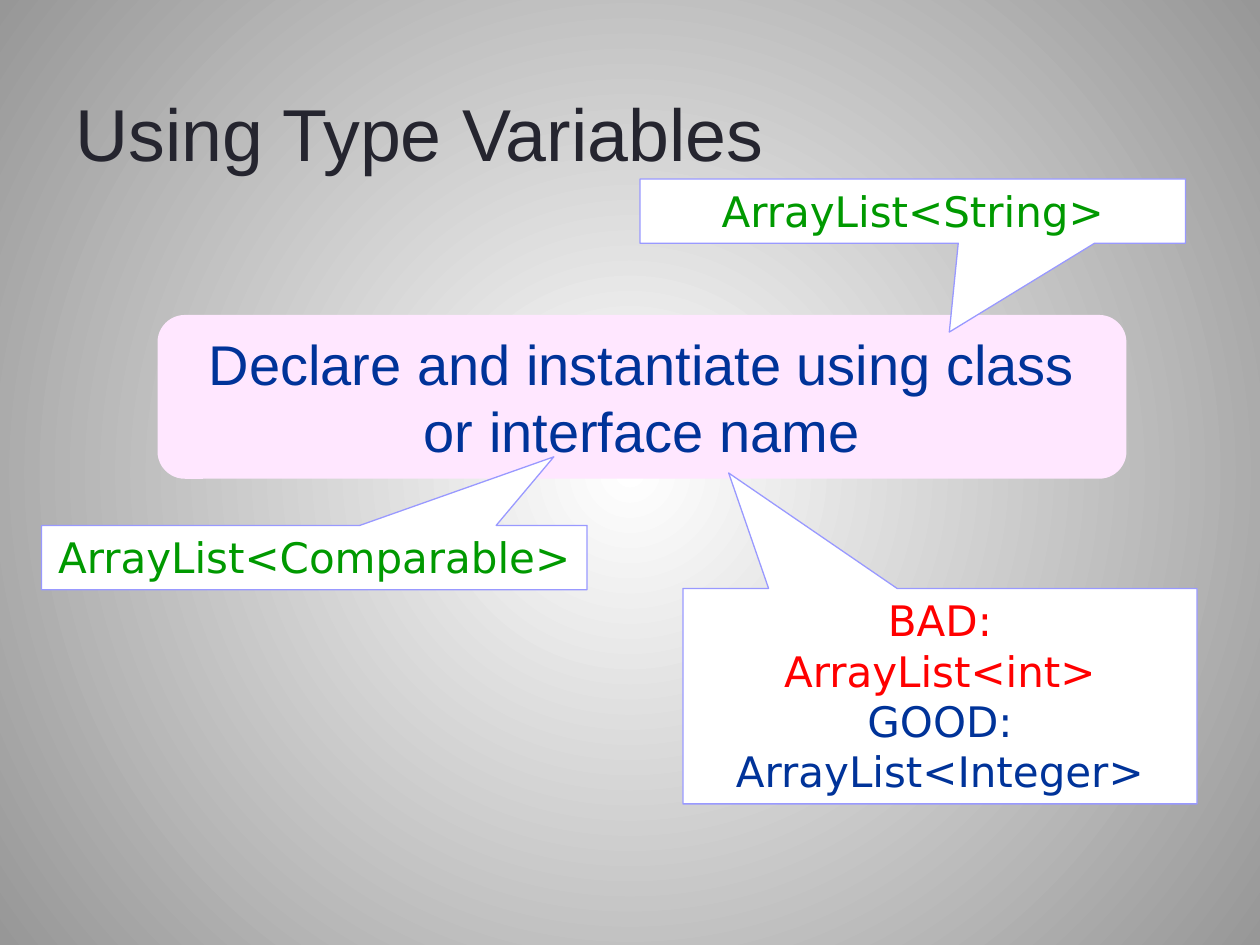
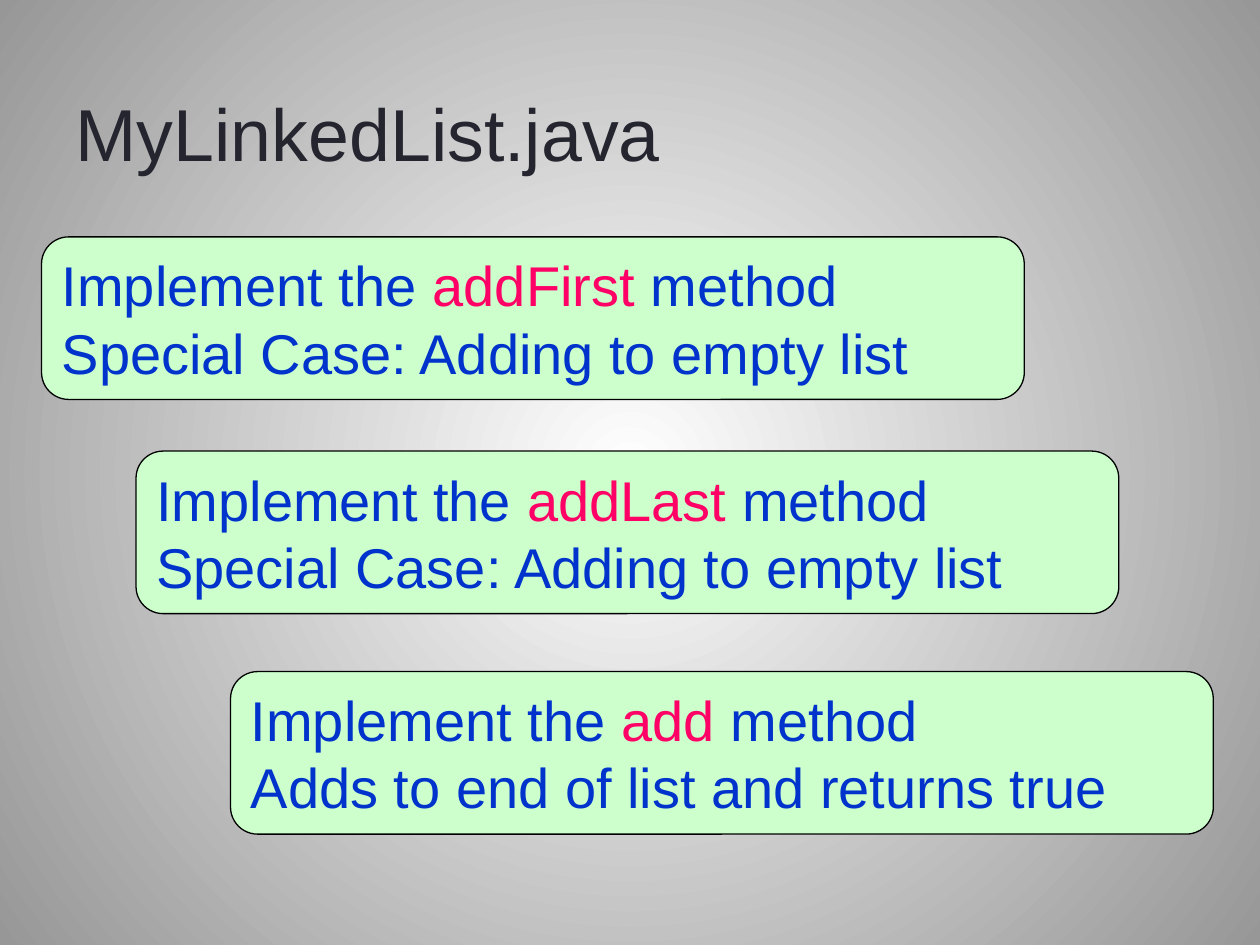
from lxml import etree
from pptx import Presentation
from pptx.dml.color import RGBColor
from pptx.enum.shapes import MSO_SHAPE
from pptx.enum.text import MSO_ANCHOR, MSO_AUTO_SIZE, PP_ALIGN
from pptx.oxml.ns import qn
from pptx.util import Inches, Pt

ROUNDED, CALLOUT = MSO_SHAPE.ROUNDED_RECTANGLE, MSO_SHAPE.RECTANGULAR_CALLOUT
TOP, MIDDLE = MSO_ANCHOR.TOP, MSO_ANCHOR.MIDDLE
LEFT, CENTER = PP_ALIGN.LEFT, PP_ALIGN.CENTER
FIT_TEXT, NO_FIT = MSO_AUTO_SIZE.SHAPE_TO_FIT_TEXT, MSO_AUTO_SIZE.NONE

SANS, CODE_FONT = "Arial", "DejaVu Sans"
TITLE_INK, NAVY, BLUE = "25252F", "003399", "0033CC"
GREEN, RED, PINK = "009900", "FF0000", "FF0066"
ROSE, MINT, WHITE = "FFE7FF", "CCFFCC", "FFFFFF"
LILAC, BLACK, GREY = "9999FF", "000000", "979797"

rgb = RGBColor.from_string


def write(shape, lines, size, font=SANS, align=LEFT, anchor=MIDDLE, hanging=0, fit=FIT_TEXT):
    """Fill a shape with lines, each a list of (text, colour) runs."""
    frame = shape.text_frame
    frame.word_wrap = True
    frame.auto_size = fit
    frame.vertical_anchor = anchor
    for index, line in enumerate(lines):
        paragraph = frame.paragraphs[0] if index == 0 else frame.add_paragraph()
        paragraph.alignment = align
        if hanging:
            properties = paragraph._p.get_or_add_pPr()
            properties.set("marL", str(Inches(hanging)))
            properties.set("indent", str(-Inches(hanging)))
        for text, color in line:
            run = paragraph.add_run()
            run.text = text
            run.font.size = Pt(size)
            run.font.name = font
            run.font.color.rgb = rgb(color)


def add_box(slide, kind, box, fill, line=None, adjustments=()):
    shape = slide.shapes.add_shape(kind, *map(Inches, box))
    shape.shadow.inherit = False
    shape.fill.solid()
    shape.fill.fore_color.rgb = rgb(fill)
    if line:
        shape.line.color.rgb = rgb(line)
        shape.line.width = Pt(0.75)
    else:
        shape.line.fill.background()
    for index, value in enumerate(adjustments):
        shape.adjustments[index] = value
    return shape


prs = Presentation()
prs.slide_width, prs.slide_height = Inches(10), Inches(7.5)

# Shared background: white centre fading to grey
master = prs.slide_master
backdrop = master.background.fill
backdrop.gradient()
for stop, position, color in zip(backdrop.gradient_stops, (0, 1), (WHITE, GREY)):
    stop.position = position
    stop.color.rgb = rgb(color)
gradient = master.element.find(".//" + qn("a:gradFill"))
gradient.remove(gradient.find(qn("a:lin")))
radial = etree.SubElement(gradient, qn("a:path"), path="circle")
etree.SubElement(radial, qn("a:fillToRect"), l="50000", t="50000", r="50000", b="50000")

# Shared title style
slides = []
for heading in ("Using Type Variables", "MyLinkedList.java"):
    slide = prs.slides.add_slide(prs.slide_layouts[5])
    title = slide.shapes.title
    title.left, title.top = Inches(0.5), Inches(0.21)
    title.width, title.height = Inches(8.83), Inches(1.67)
    write(title, [[(heading, TITLE_INK)]], 42, fit=NO_FIT)
    slides.append(slide)
type_variables, linked_list = slides

# Slide 1: the rule and its example callouts
rule = add_box(type_variables, ROUNDED, (1.25, 2.5, 7.69, 1.3), ROSE)
write(rule, [[("Declare and instantiate using class or interface name", NAVY)]],
      32, align=CENTER, anchor=TOP)

examples = [
    ((5.08, 1.42, 4.33, 0.51), (0.067, 1.884), [("ArrayList<String>", GREEN)]),
    ((5.42, 4.67, 4.08, 1.71), (-0.411, -1.036),
     [("BAD:", RED), ("ArrayList<int>", RED), ("GOOD:", NAVY), ("ArrayList<Integer>", NAVY)]),
    ((0.33, 4.17, 4.33, 0.51), (0.439, -1.568), [("ArrayList<Comparable>", GREEN)]),
]
for box, pointer, lines in examples:
    example = add_box(type_variables, CALLOUT, box, WHITE, LILAC, pointer)
    write(example, [[line] for line in lines], 24, CODE_FONT, CENTER, TOP)

# Slide 2: methods to implement, stepping to the right
tasks = [
    (1.88, "addFirst", "Special Case: Adding to empty list"),
    (3.58, "addLast", "Special Case: Adding to empty list"),
    (5.33, "add", "Adds to end of list and returns true"),
]
for step, (top, method, remark) in enumerate(tasks):
    task = add_box(linked_list, ROUNDED, (0.33 + 0.75 * step, top, 7.8, 1.29), MINT, BLACK)
    write(task, [[("Implement the ", BLUE), (method, PINK), (" method", BLUE)],
                 [(remark, BLUE)]], 32, hanging=0.38)

prs.save("out.pptx")
